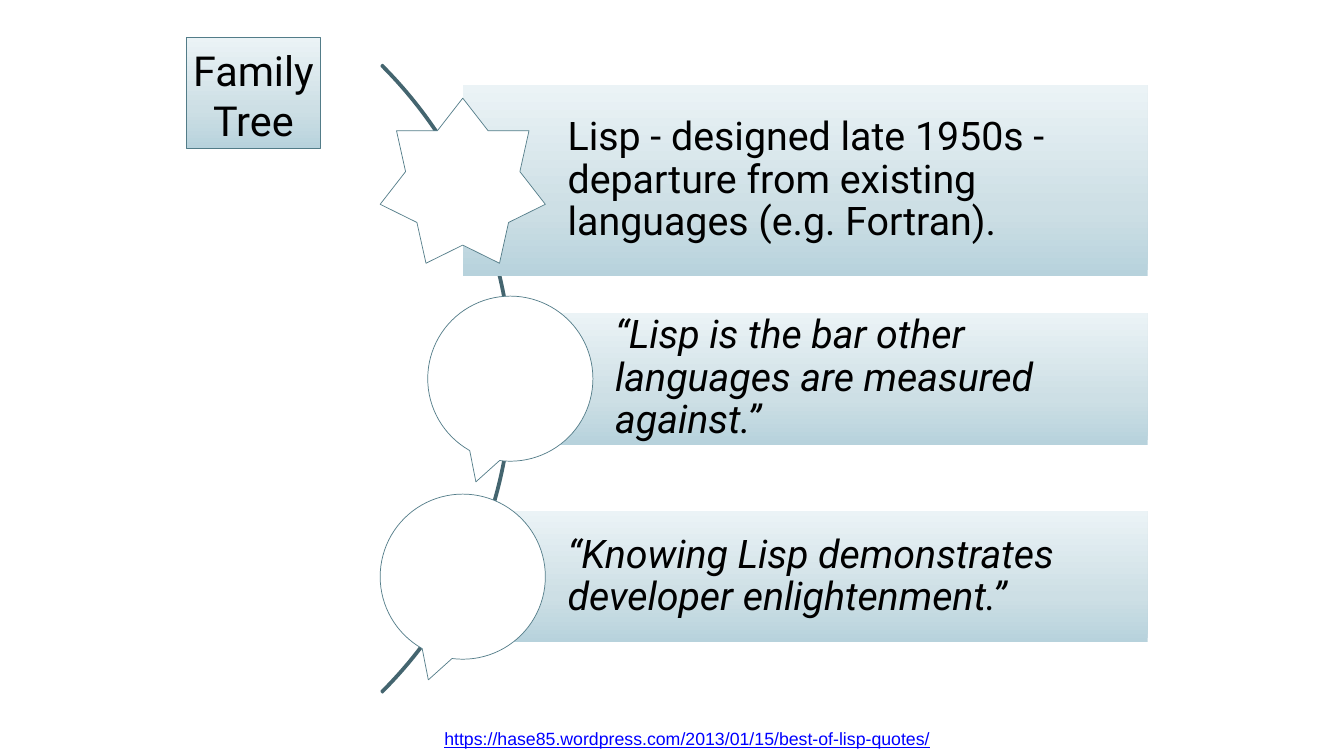
from copy import deepcopy

from pptx import Presentation
from pptx.dml.color import RGBColor
from pptx.enum.shapes import MSO_SHAPE
from pptx.enum.text import MSO_ANCHOR, MSO_AUTO_SIZE, PP_ALIGN
from pptx.oxml.ns import qn
from pptx.util import Inches, Pt

WIDTH, HEIGHT = Inches(18.96), Inches(10.67)
COLUMN, ROW = WIDTH / 100, HEIGHT / 100

GRADIENT = [(0, "B7D2DC"), (0.35, "CDDFE5"), (1, "EBF3F6")]

# Timeline geometry, in columns and rows
ICON_WIDTH, ICON_HEIGHT = 12.29, 21.84
FIRST_CENTRE, PITCH = 23.9, 26.19
BAR_RIGHT = 85.4

# Icon shape, centre column, bar height, italic, text
ENTRIES = [
    (MSO_SHAPE.STAR_7_POINT, 34.43, 25.3, False,
     "Lisp - designed late 1950s - departure from existing languages (e.g. Fortran)."),
    (MSO_SHAPE.OVAL_CALLOUT, 37.97, 17.43, True,
     "“Lisp is the bar other languages are measured against.”"),
    (MSO_SHAPE.OVAL_CALLOUT, 34.43, 17.43, True,
     "“Knowing Lisp demonstrates developer enlightenment.”"),
]


def color(hex_string):
    return RGBColor.from_string(hex_string)


def grid(left, top, width, height):
    """Turn columns and rows into slide lengths."""
    return [round(value) for value in
            (left * COLUMN, top * ROW, width * COLUMN, height * ROW)]


def fill_gradient(shape):
    shape.fill.gradient()
    shape.fill.gradient_angle = 90
    stop_list = next(shape._element.iter(qn("a:gsLst")))
    stop_list.append(deepcopy(stop_list[-1]))
    for stop, (position, hex_string) in zip(shape.fill.gradient_stops, GRADIENT):
        stop.position = position
        stop.color.rgb = color(hex_string)


def set_line(shape, hex_string, width):
    shape.line.color.rgb = color(hex_string)
    shape.line.width = Pt(width)


def set_text(shape, text, size, font="Roboto", hex_string="000000",
             anchor=MSO_ANCHOR.MIDDLE, align=PP_ALIGN.LEFT, insets=(0.1, 0.05, 0.1, 0.05)):
    frame = shape.text_frame
    frame.text = text
    frame.word_wrap = True
    frame.auto_size = MSO_AUTO_SIZE.NONE
    frame.vertical_anchor = anchor
    (frame.margin_left, frame.margin_top,
     frame.margin_right, frame.margin_bottom) = map(Inches, insets)
    paragraph = frame.paragraphs[0]
    paragraph.alignment = align
    run = paragraph.runs[0]
    run.font.name = font
    run.font.size = Pt(size)
    run.font.color.rgb = color(hex_string)
    return paragraph, run


def add_plain_shape(slide, kind, *box):
    shape = slide.shapes.add_shape(kind, *grid(*box))
    shape.shadow.inherit = False
    return shape


def format_title(slide):
    title = slide.shapes.title
    title.left, title.top, title.width, title.height = grid(13.87, 4.97, 9.97, 14.71)
    fill_gradient(title)
    set_line(title, "527C88", 0.75)
    set_text(title, "Family Tree", 42, anchor=MSO_ANCHOR.BOTTOM,
             align=PP_ALIGN.CENTER, insets=(0.06,) * 4)


def add_arc(slide):
    arc = add_plain_shape(slide, MSO_SHAPE.BLOCK_ARC, -27.95, -8.62, 66.09, 117.43)
    for index, value in enumerate((189, 27, 0.002)):
        arc.adjustments[index] = value
    arc.fill.background()
    set_line(arc, "44656F", 2)


def add_entry(slide, middle, icon_kind, centre, bar_height, italic, text):
    bar = add_plain_shape(slide, MSO_SHAPE.RECTANGLE, centre, middle - bar_height / 2,
                          BAR_RIGHT - centre, bar_height)
    fill_gradient(bar)
    bar.line.fill.background()
    paragraph, run = set_text(bar, text, 40, insets=(1.48, 0.11, 0.11, 0.11))
    paragraph.line_spacing = 0.9
    run.font.italic = italic

    icon = add_plain_shape(slide, icon_kind, centre - ICON_WIDTH / 2,
                           middle - ICON_HEIGHT / 2, ICON_WIDTH, ICON_HEIGHT)
    icon.fill.solid()
    icon.fill.fore_color.rgb = color("FFFFFF")
    set_line(icon, "557E8A", 0.75)


def add_source(slide):
    box = slide.shapes.add_textbox(*grid(32.54, 95.78, 37.92, 3.75))
    run = set_text(box, "https://hase85.wordpress.com/2013/01/15/best-of-lisp-quotes/",
                   18, "Arial", "0000FF", MSO_ANCHOR.TOP)[1]
    run.font.underline = True


def main():
    presentation = Presentation()
    presentation.slide_width, presentation.slide_height = WIDTH, HEIGHT
    slide = presentation.slides.add_slide(presentation.slide_layouts.get_by_name("Title Only"))

    format_title(slide)

    # Timeline: the arc lies behind its entries
    add_arc(slide)
    for index, entry in enumerate(ENTRIES):
        add_entry(slide, FIRST_CENTRE + index * PITCH, *entry)

    # Source address
    add_source(slide)
    presentation.save("out.pptx")


if __name__ == "__main__":
    main()
